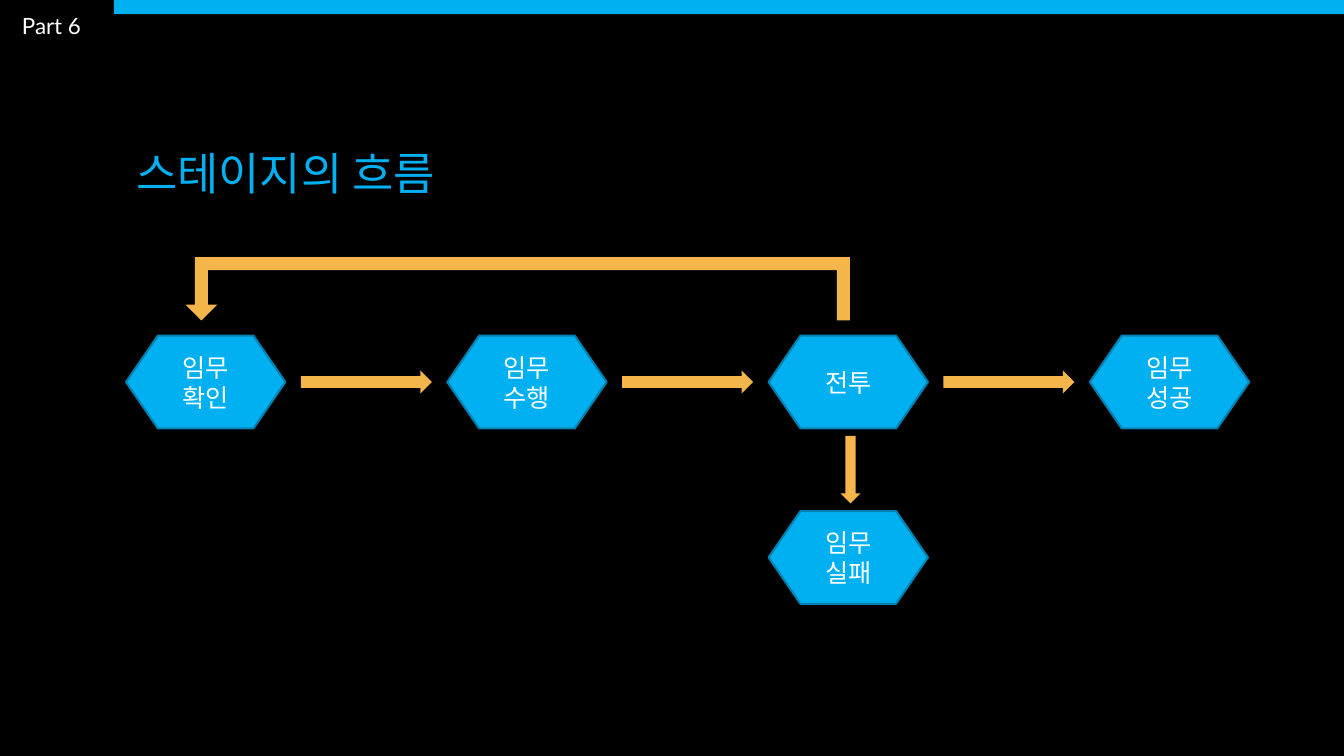
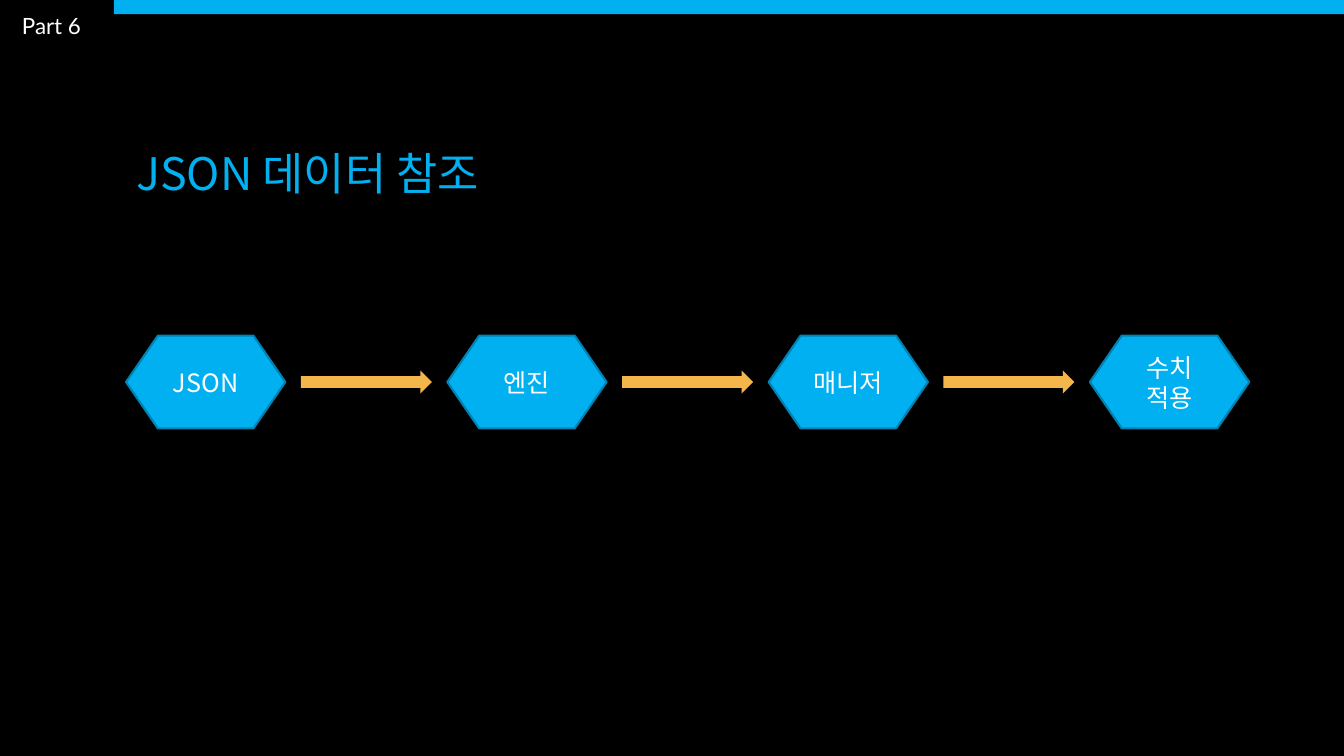
import pptx
import pptx.util
import pptx.dml.color
import pptx.enum.shapes
import pptx.enum.text
import pptx.oxml
import pptx.oxml.ns

SLIDES = [
    {"title": "스테이지의 흐름",
     "steps": ["임무 확인", "임무 수행", "전투", "임무 성공"],
     "fail": "임무 실패"},
    {"title": "JSON 데이터 참조",
     "steps": ["JSON", "엔진", "매니저", "수치 적용"]},
]
PART = "Part 6"

COLORS = {"back": "000000", "blue": "00B0F0", "edge": "0082B2",
          "gold": "F4B54B", "white": "FFFFFF"}
KOREAN, LATIN = "Noto Sans CJK KR", "Lato"
TITLE = {"size": 32, "name": KOREAN, "color": "blue"}
STEP = {"size": 18, "name": KOREAN, "color": "white"}
LABEL = {"size": 16, "name": LATIN, "color": "white"}

WIDE, HIGH = 13.33, 7.5
LEFT, TOP = 1.25, 3.33
HEX_W, HEX_H = 1.58, 0.92
PITCH = 9.56 / 3
ARROW_W, ARROW_H = 1.3, 0.23
FIGHT = 2
FAIL_TOP = 5.07
BAND_X = 1.13

KINDS = pptx.enum.shapes.MSO_SHAPE
ALIGN = pptx.enum.text.PP_ALIGN
ANCHOR = pptx.enum.text.MSO_ANCHOR
FIT = pptx.enum.text.MSO_AUTO_SIZE
GLOW = ('<a:effectLst %s><a:outerShdw blurRad="38100" dist="38100" dir="2700000" algn="tl">'
        '<a:srgbClr val="000000"><a:alpha val="43000"/></a:srgbClr></a:outerShdw></a:effectLst>'
        % pptx.oxml.ns.nsdecls("a"))


def inches(*sizes):
    return [pptx.util.Inches(size) for size in sizes]


def color(name):
    return pptx.dml.color.RGBColor.from_string(COLORS[name])


def write(frame, text, style, align=ALIGN.LEFT, shade=False):
    para = frame.paragraphs[0]
    para.alignment = align
    run = para.add_run()
    run.text = text
    run.font.color.rgb = color(style["color"])
    props = run.font._element
    if shade:
        props.append(pptx.oxml.parse_xml(GLOW))
    format = {"size": pptx.util.Pt(style["size"]), "name": style["name"], "bold": False}
    for key, value in format.items():
        setattr(run.font, key, value)
    east = props.makeelement(pptx.oxml.ns.qn("a:ea"), {"typeface": style["name"]})
    props.append(east)


def draw(slide, kind, box, fill, edge=None):
    shape = slide.shapes.add_shape(kind, *inches(*box))
    shape.shadow.inherit = False
    shape.fill.solid()
    shape.fill.fore_color.rgb = color(fill)
    if edge:
        shape.line.color.rgb = color(edge)
        shape.line.width = pptx.util.Pt(1.5)
    else:
        shape.line.fill.background()
    return shape


def add_step(slide, text, left, top):
    shape = draw(slide, KINDS.FLOWCHART_PREPARATION, (left, top, HEX_W, HEX_H), "blue", "edge")
    shape.text_frame.vertical_anchor = ANCHOR.MIDDLE
    write(shape.text_frame, text, STEP, ALIGN.CENTER, shade=True)


def add_title(slide, text):
    title = slide.shapes.title
    places = zip(("left", "top", "width", "height"), inches(LEFT, 0.67, WIDE - 2 * LEFT, 2.08))
    for key, value in places:
        setattr(title, key, value)
    title.text_frame.vertical_anchor = ANCHOR.MIDDLE
    write(title.text_frame, text, TITLE)


def add_steps(slide, steps):
    gap = (PITCH - HEX_W - ARROW_W) / 2
    for col, text in enumerate(steps):
        left = LEFT + col * PITCH
        add_step(slide, text, left, TOP)
        if col:
            box = (left - gap - ARROW_W, TOP + (HEX_H - ARROW_H) / 2, ARROW_W, ARROW_H)
            draw(slide, KINDS.RIGHT_ARROW, box, "gold")


def add_fail(slide, text):
    """Add the way back from the fight and the way down to failure."""
    back = draw(slide, KINDS.U_TURN_ARROW, (1.84, 2.55, 6.59, 0.63), "gold")
    for spot, value in enumerate((0.207, 0.25, 0.25, 0, 1)):
        back.adjustments[spot] = value
    back._element.spPr.xfrm.set("flipV", "1")
    back.rotation = 180
    add_step(slide, text, LEFT + FIGHT * PITCH, FAIL_TOP)
    draw(slide, KINDS.RIGHT_ARROW, (8.1, 4.56, 0.67, 0.2), "gold").rotation = 90


def add_band(slide):
    draw(slide, KINDS.RECTANGLE, (BAND_X, 0, WIDE - BAND_X, 0.14), "blue")
    label = slide.shapes.add_textbox(*inches(0.12, 0.07, BAND_X, 0.37))
    label.text_frame.word_wrap = True
    label.text_frame.auto_size = FIT.SHAPE_TO_FIT_TEXT
    write(label.text_frame, PART, LABEL)


def main():
    deck = pptx.Presentation()
    deck.slide_width, deck.slide_height = inches(WIDE, HIGH)
    back = deck.slide_master.background.fill
    back.solid()
    back.fore_color.rgb = color("back")
    for page in SLIDES:
        slide = deck.slides.add_slide(deck.slide_layouts[5])
        add_title(slide, page["title"])
        add_steps(slide, page["steps"])
        if "fail" in page:
            add_fail(slide, page["fail"])
        add_band(slide)
    deck.save("out.pptx")


if __name__ == "__main__":
    main()
